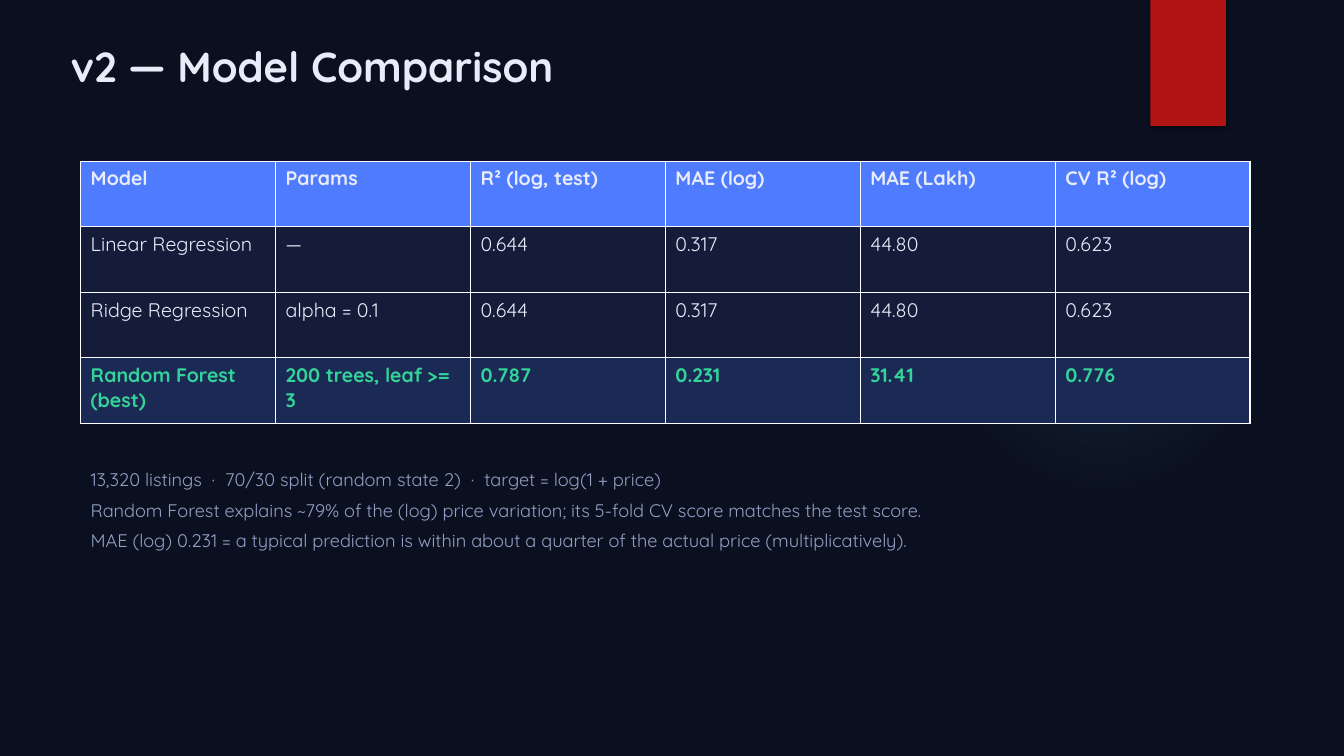
from dataclasses import dataclass

from lxml.etree import SubElement
from pptx import Presentation
from pptx.dml.color import RGBColor as RGB
from pptx.enum.shapes import MSO_SHAPE as Shape
from pptx.enum.text import MSO_ANCHOR as Anchor, PP_ALIGN as Align
from pptx.oxml import parse_xml
from pptx.oxml.ns import nsdecls, qn
from pptx.util import Inches, Pt


@dataclass(frozen=True)
class Theme:
    """Colours, font and type sizes of the slide."""
    font: str = "Quicksand"
    background: str = "0B1020"
    glow: str = "50B9C1"
    ribbon: str = "B01513"
    light: str = "E8ECF8"
    muted: str = "93A0C4"
    best: str = "34D399"
    header_fill: str = "4F7CFF"
    row_fill: str = "141C3A"
    best_fill: str = "1B2A55"
    border: str = "FFFFFF"
    title_size: int = 30
    table_size: int = 14
    note_size: int = 13


THEME = Theme()
RESULTS = [
    ["Model", "Params", "R² (log, test)", "MAE (log)", "MAE (Lakh)", "CV R² (log)"],
    ["Linear Regression", "—", "0.644", "0.317", "44.80", "0.623"],
    ["Ridge Regression", "alpha = 0.1", "0.644", "0.317", "44.80", "0.623"],
    ["Random Forest (best)", "200 trees, leaf >= 3", "0.787", "0.231", "31.41", "0.776"],
]
NOTES = [
    "13,320 listings  ·  70/30 split (random state 2)  ·  target = log(1 + price)",
    "Random Forest explains ~79% of the (log) price variation; its 5-fold CV score matches the test score.",
    "MAE (log) 0.231 = a typical prediction is within about a quarter of the actual price (multiplicatively).",
]


def add_text(paragraph, text, size, color, bold=False):
    """Add one styled run to a paragraph."""
    run = paragraph.add_run()
    run.text = text
    run.font.name = THEME.font
    run.font.size = Pt(size)
    run.font.bold = bold
    run.font.color.rgb = RGB.from_string(color)


def add_glow(slide, left, top, diameter):
    """Place a faint circle that fades out from its centre."""
    glow = slide.shapes.add_shape(
        Shape.OVAL, Inches(left), Inches(top), Inches(diameter), Inches(diameter))
    glow.shadow.inherit = False
    glow.line.fill.background()
    stops = "".join(
        f'<a:gs pos="{place * 1000}"><a:srgbClr val="{THEME.glow}">'
        f'<a:alpha val="{opacity * 1000}"/></a:srgbClr></a:gs>'
        for place, opacity in [(0, 7), (36, 6), (69, 0), (100, 0)])
    gradient = parse_xml(
        f'<a:gradFill {nsdecls("a")}><a:gsLst>{stops}</a:gsLst><a:path path="circle">'
        '<a:fillToRect l="50000" t="50000" r="50000" b="50000"/></a:path></a:gradFill>')
    glow.element.spPr.find(qn("a:prstGeom")).addnext(gradient)


def add_ribbon(slide, left, top, width, height):
    """Place the red tab with a soft shadow below it."""
    ribbon = slide.shapes.add_shape(
        Shape.RECTANGLE, Inches(left), Inches(top), Inches(width), Inches(height))
    ribbon.shadow.inherit = False
    ribbon.fill.solid()
    ribbon.fill.fore_color.rgb = RGB.from_string(THEME.ribbon)
    ribbon.line.fill.background()
    effects = ribbon.element.spPr.find(qn("a:effectLst"))
    effects.append(parse_xml(
        f'<a:outerShdw {nsdecls("a")} blurRad="{Pt(3)}" dist="{Pt(2)}" dir="5400000" '
        'rotWithShape="0"><a:srgbClr val="000000"><a:alpha val="45000"/></a:srgbClr>'
        '</a:outerShdw>'))


def add_title(slide, left, top, width, height):
    """Move the title placeholder to its box and write the heading."""
    title = slide.shapes.title
    title.left, title.top = Inches(left), Inches(top)
    title.width, title.height = Inches(width), Inches(height)
    title.text_frame.vertical_anchor = Anchor.TOP
    heading = title.text_frame.paragraphs[0]
    heading.alignment = Align.LEFT
    add_text(heading, "v2 — Model Comparison", THEME.title_size, THEME.light, True)


def add_borders(cell):
    """Draw a thin line on all four sides of a cell."""
    properties = cell._tc.get_or_add_tcPr()
    for side in ("lnL", "lnR", "lnT", "lnB"):
        line = SubElement(properties, qn(f"a:{side}"), w=str(Pt(1)))
        fill = SubElement(line, qn("a:solidFill"))
        SubElement(fill, qn("a:srgbClr"), val=THEME.border)


def add_results(slide, left, top, width, height):
    """Fill the model table, with a header and a highlighted last row."""
    results = slide.shapes.add_table(
        len(RESULTS), len(RESULTS[0]),
        Inches(left), Inches(top), Inches(width), Inches(height)).table
    body_style = (THEME.row_fill, THEME.light, False)
    styles = {0: (THEME.header_fill, THEME.light, True),
              len(RESULTS) - 1: (THEME.best_fill, THEME.best, True)}
    for row, values in enumerate(RESULTS):
        fill, color, bold = styles.get(row, body_style)
        for column, value in enumerate(values):
            cell = results.cell(row, column)
            add_borders(cell)
            cell.fill.solid()
            cell.fill.fore_color.rgb = RGB.from_string(fill)
            add_text(cell.text_frame.paragraphs[0], value, THEME.table_size, color, bold)


def add_notes(slide, left, top, width, height):
    """Write the remarks below the table."""
    frame = slide.shapes.add_textbox(
        Inches(left), Inches(top), Inches(width), Inches(height)).text_frame
    frame.word_wrap = True
    for index, note in enumerate(NOTES):
        remark = frame.add_paragraph() if index else frame.paragraphs[0]
        remark.space_after = Pt(6)
        add_text(remark, note, THEME.note_size, THEME.muted)


def main():
    """Build the slide and save it."""
    deck = Presentation()
    deck.slide_width, deck.slide_height = Inches(13.33), Inches(7.5)
    slide = deck.slides.add_slide(deck.slide_layouts[5])
    slide.background.fill.solid()
    slide.background.fill.fore_color.rgb = RGB.from_string(THEME.background)
    add_glow(slide, 9.41, 1.83, 3.08)
    add_ribbon(slide, 11.41, 0, 0.75, 1.25)
    add_title(slide, 0.6, 0.35, 12.1, 0.9)
    add_results(slide, 0.8, 1.6, 11.6, 2.6)
    add_notes(slide, 0.8, 4.6, 11.6, 1.6)
    deck.save("out.pptx")


if __name__ == "__main__":
    main()
